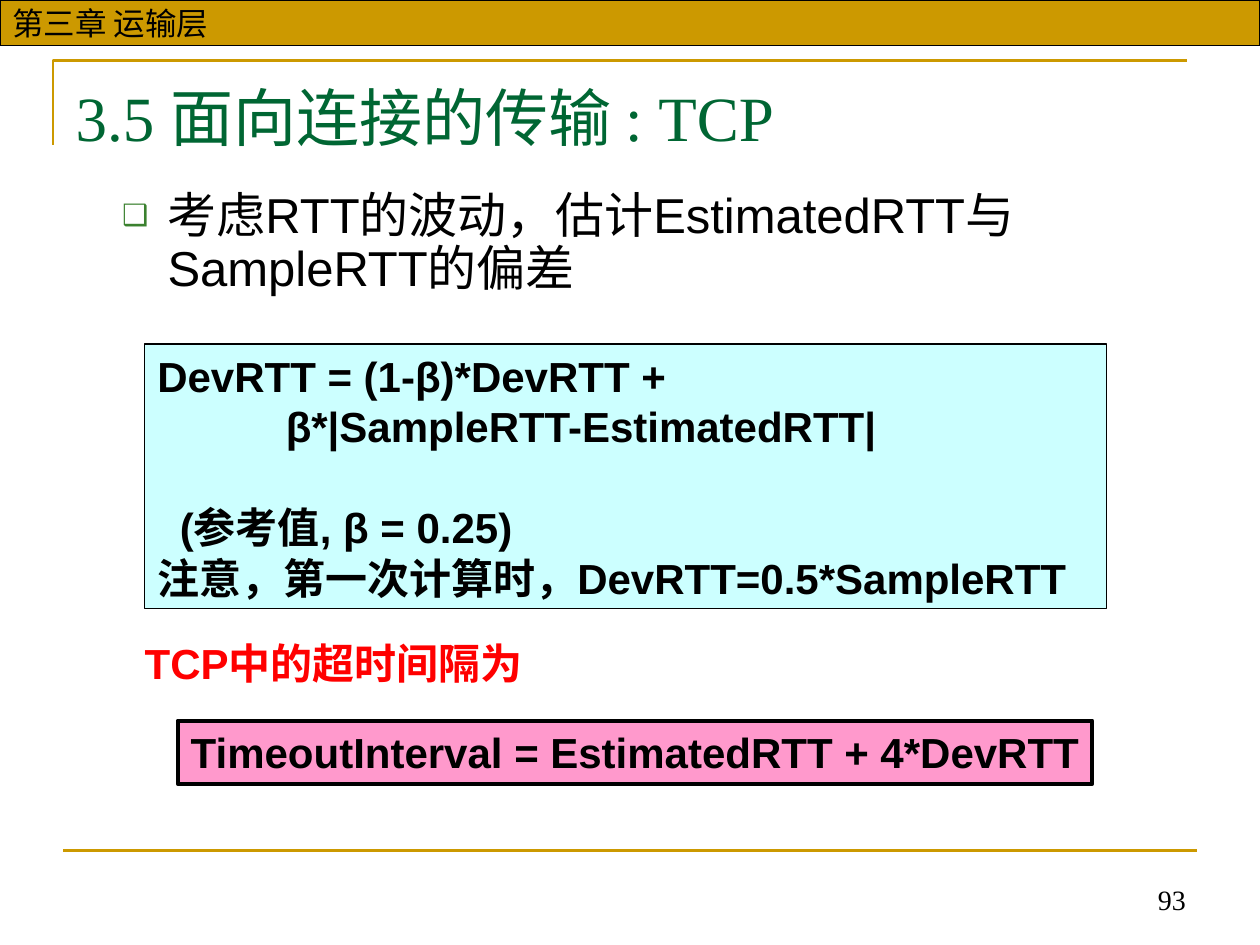
import pptx
import pptx.util
import pptx.dml.color
import pptx.enum.shapes
import pptx.enum.text
from lxml import etree

# Content; places are (left, top, width, height) in percent of the slide
BAND = "第三章 运输层", (0, 0, 100, 4.8)
TITLE = "3.5 面向连接的传输 : TCP", (5, 7.2, 90, 10.27)
POINT = "考虑RTT的波动，估计EstimatedRTT与SampleRTT的偏差", (5, 19.6, 90, 13.6)
DEV = [  # text, indent in inches, space before in points
    ("DevRTT = (1-β)*DevRTT +", 0, 0),
    ("β*|SampleRTT-EstimatedRTT|", 1.02, 0),
    ("(参考值, β = 0.25)", 0.18, 29),
    ("注意，第一次计算时，DevRTT=0.5*SampleRTT", 0, 0),
]
DEV_AT = 11.5, 36.4, 76.3, 28
LABEL = "TCP中的超时间隔为", (10.5, 66.8, 32.8, 6.67)
TIMEOUT = "TimeoutInterval = EstimatedRTT + 4*DevRTT", (14.1, 76.27, 72.6, 6.67)
NUMBER = "93", (63.4, 90.93, 31.7, 6.67)
CORNER = [(4.2, 15.33), (4.2, 6.4), (94.2, 6.4)]
RULE = [(5, 90), (95, 90)]

THEME = {
    "gold": "CC9900", "green": "006633", "mark": "3B812F", "ink": "000000",
    "cyan": "CCFFFF", "pink": "FF99CC", "red": "FF0000",
    "sans": "Arial", "serif": "Times New Roman",
    "head": 36, "body": 28, "box": 24, "band": 18, "page": 16,
}
Pt, Inches = pptx.util.Pt, pptx.util.Inches
ALIGN = pptx.enum.text.PP_ALIGN
ANCHOR = pptx.enum.text.MSO_ANCHOR
NS = "{http://schemas.openxmlformats.org/drawingml/2006/main}"

deck = pptx.Presentation()
deck.slide_width, deck.slide_height = Inches(10), Inches(7.5)
slide = deck.slides.add_slide(deck.slide_layouts[1])
shapes = slide.shapes


def color(name):
    return pptx.dml.color.RGBColor.from_string(THEME[name])


def spot(x, y):
    return int(deck.slide_width * x / 100), int(deck.slide_height * y / 100)


def place(at):
    return spot(*at[:2]) + spot(*at[2:])


def move(shape, at):
    shape.left, shape.top, shape.width, shape.height = place(at)
    return shape


def stroke(line, name, width):
    line.color.rgb = color(name)
    line.width = Pt(width)


def write(shape, lines, size, font="sans", ink="ink", bold=False,
          align=ALIGN.LEFT, anchor=ANCHOR.TOP, wrap=True, space=None, bullet=None):
    """Fill a shape with one text, or with (text, indent, gap) lines."""
    frame = shape.text_frame
    frame.auto_size = pptx.enum.text.MSO_AUTO_SIZE.NONE
    frame.word_wrap, frame.vertical_anchor = wrap, anchor
    if isinstance(lines, str):
        lines = [(lines, 0, 0)]
    for i, (text, indent, gap) in enumerate(lines):
        para = frame.add_paragraph() if i else frame.paragraphs[0]
        para.text, para.alignment = text, align
        para.space_before = Pt(gap)
        if space:
            para.line_spacing = space
        props = para._p.get_or_add_pPr()
        if indent:
            props.set("marL", str(Inches(indent)))
        if bullet:
            props.set("marL", str(Inches(0.73)))
            props.set("indent", str(Inches(-0.36)))
            tint = etree.SubElement(props, NS + "buClr")
            etree.SubElement(tint, NS + "srgbClr", val=THEME["mark"])
            etree.SubElement(props, NS + "buSzPct", val="60000")
            etree.SubElement(props, NS + "buChar", char=bullet)
        face = para.runs[0].font
        face.name, face.size, face.bold = THEME[font], Pt(THEME[size]), bold
        face.color.rgb = color(ink)


def panel(at, fill, width=0.75):
    box = shapes.add_shape(pptx.enum.shapes.MSO_SHAPE.RECTANGLE, *place(at))
    box.shadow.inherit = False
    box.fill.solid()
    box.fill.fore_color.rgb = color(fill)
    stroke(box.line, "ink", width)
    return box


def label(at):
    return shapes.add_textbox(*place(at))


# Frame: corner line, bottom rule, chapter band, page number
pen = shapes.build_freeform(*spot(*CORNER[0]))
pen.add_line_segments([spot(*p) for p in CORNER[1:]], close=False)
corner = pen.convert_to_shape()
corner.shadow.inherit = False
corner.fill.background()
stroke(corner.line, "gold", 1.5)

rule = shapes.add_connector(pptx.enum.shapes.MSO_CONNECTOR.STRAIGHT,
                            *spot(*RULE[0]), *spot(*RULE[1]))
stroke(rule.line, "gold", 1.5)
etree.SubElement(rule._element.spPr, NS + "effectLst")

write(panel(BAND[1], "gold"), BAND[0], "band", anchor=ANCHOR.MIDDLE, wrap=False)
write(label(NUMBER[1]), NUMBER[0], "page", font="serif",
      align=ALIGN.RIGHT, anchor=ANCHOR.BOTTOM)

# Title and main point
write(move(shapes.title, TITLE[1]), TITLE[0], "head", font="serif",
      ink="green", anchor=ANCHOR.MIDDLE)
write(move(slide.placeholders[1], POINT[1]), POINT[0], "body",
      space=0.9, bullet="❑")

# Formulas
write(panel(DEV_AT, "cyan"), DEV, "box", bold=True)
write(panel(TIMEOUT[1], "pink", 2.25), TIMEOUT[0], "box", bold=True,
      align=ALIGN.CENTER, wrap=False)
write(label(LABEL[1]), LABEL[0], "box", ink="red", bold=True, wrap=False)

deck.save("out.pptx")
